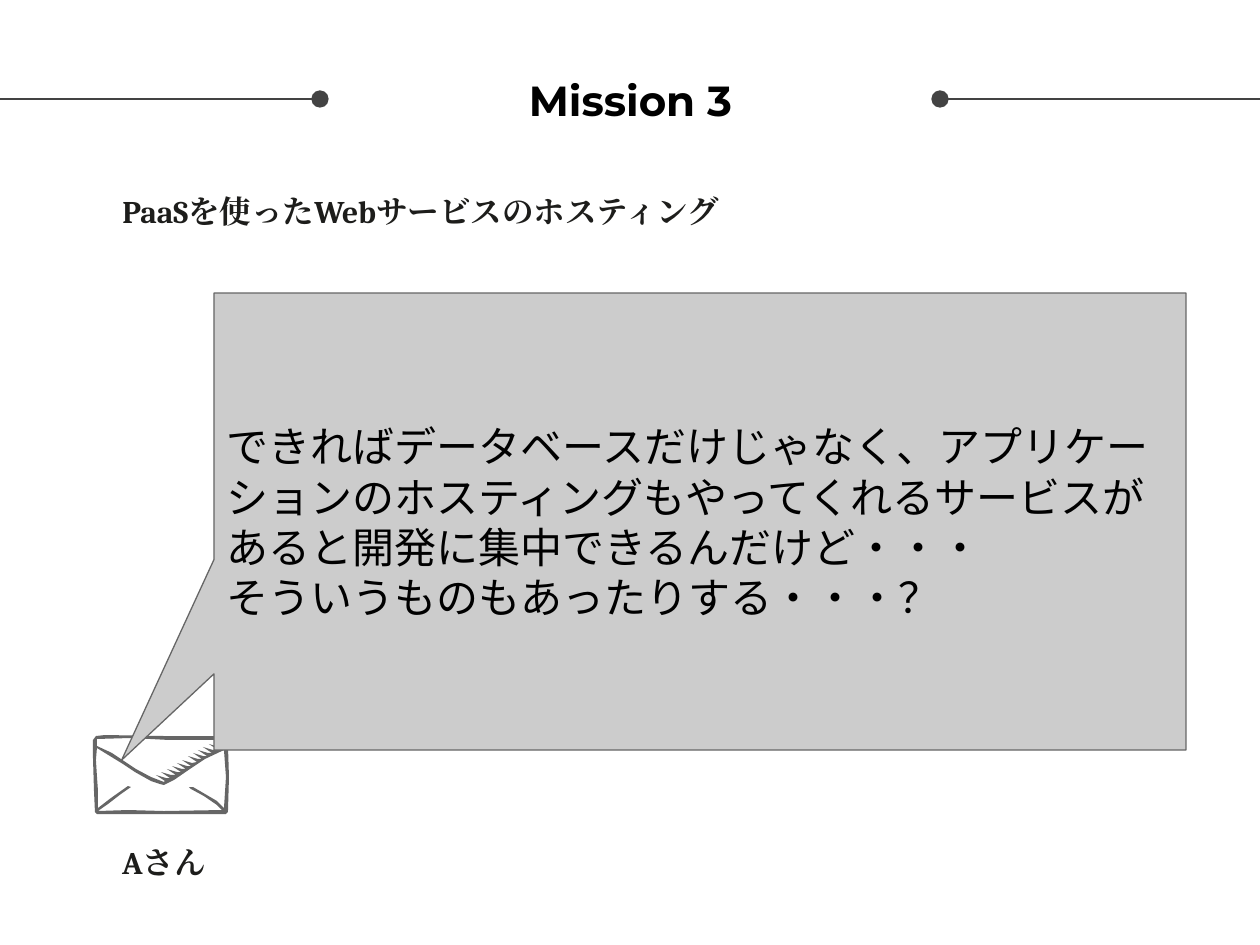
from lxml.etree import SubElement
from pptx import Presentation
from pptx.dml.color import RGBColor
from pptx.enum.shapes import MSO_CONNECTOR, MSO_SHAPE
from pptx.enum.text import MSO_ANCHOR, PP_ALIGN
from pptx.oxml.ns import qn
from pptx.util import Pt

PX = 914400 / 126
W, H = 1260, 945
INSET = 12.6

COLORS = {"rule": "434343", "title": "000000", "text": "1D1D1B",
          "ink": "666666", "bubble": "CCCCCC"}

# Content: text, box in px, font, size, colour, bold, alignment, anchor, space before
LABELS = [
    ("Mission 3", (321, 21, 619, 158), "Montserrat", 24, "title", PP_ALIGN.CENTER, MSO_ANCHOR.MIDDLE),
    ("PaaSを使ったWebサービスのホスティング", (110, 179, 1041, 97), "Cambria", 18, "text",
     PP_ALIGN.LEFT, MSO_ANCHOR.TOP),
    ("Aさん", (96, 830, 136, 97), "Cambria", 18, "text", PP_ALIGN.CENTER, MSO_ANCHOR.TOP),
]
SPEECH = ("できればデータベースだけじゃなく、アプリケーションのホスティングもやってくれるサービスが"
          "あると開発に集中できるんだけど・・・\vそういうものもあったりする・・・？")
BUBBLE = (214, 293, 972, 457)
RULE_Y = 99
RULES = [(320, -4), (940, 1261)]

# Envelope contours: rim, upper opening with hatching, lower opening
TEETH = 12
FIRST_TIP, LAST_TIP = (214, 741), (156, 775)


def hatching():
    points = []
    for i in range(TEETH):
        x, y = (round(a + (b - a) * i / (TEETH - 1)) for a, b in zip(FIRST_TIP, LAST_TIP))
        points += [(x + 10, y + 3), (x, y), (x + 9, y + 6)]
    return points


RIM = [(96, 736), (105, 735), (164, 736), (227, 736), (229, 737), (228, 745), (229, 777),
       (228, 812), (226, 814), (166, 814), (131, 814), (97, 814), (95, 812), (94, 790),
       (93, 757), (93, 740)]
UPPER = [(97, 739), (131, 738), (169, 740), (224, 740), *hatching(), (164, 782),
         (151, 777), (136, 769), (112, 753), (97, 746)]
LOWER = [(97, 748), (110, 756), (123, 764), (135, 772), (151, 781), (160, 784), (164, 785),
         (174, 780), (190, 769), (205, 759), (224, 750), (226, 777), (224, 808), (217, 801),
         (200, 791), (193, 787), (189, 787), (191, 789), (204, 796), (217, 805), (222, 810),
         (164, 811), (128, 810), (98, 811), (108, 804), (121, 794), (131, 787), (128, 786),
         (111, 798), (98, 808), (98, 790), (97, 776), (96, 760)]


def px(*values):
    return [round(v * PX) for v in values]


def color(name):
    return RGBColor.from_string(COLORS[name])


def write(sp, text, font, size, ink, bold=False, align=PP_ALIGN.LEFT, anchor=MSO_ANCHOR.MIDDLE):
    tf = sp.text_frame
    tf.word_wrap = True
    tf.vertical_anchor = anchor
    tf.margin_left = tf.margin_right = tf.margin_top = tf.margin_bottom = px(INSET)[0]
    tf.text = text
    p = tf.paragraphs[0]
    p.alignment = align
    for r in p.runs:
        r.font.size = Pt(size)
        r.font.bold = bold
        r.font.color.rgb = color(ink)
        r.font.name = font
        SubElement(r.font._element, qn("a:ea"), typeface=font)


prs = Presentation()
prs.slide_width, prs.slide_height = px(W, H)
slide = prs.slides.add_slide(prs.slide_layouts[6])
shapes = slide.shapes

# Rules with a dot at the inner end
for x1, x2 in RULES:
    line = shapes.add_connector(MSO_CONNECTOR.STRAIGHT, *px(x1, RULE_Y, x2, RULE_Y))
    line.line.color.rgb = color("rule")
    line.line.width = Pt(0.75)
    SubElement(line.line._get_or_add_ln(), qn("a:headEnd"), type="oval", w="lg", len="lg")
    SubElement(line._element.spPr, qn("a:effectLst"))

# Envelope
builder = shapes.build_freeform(*RIM[0], scale=PX)
builder.add_line_segments(RIM[1:])
for opening in (UPPER, LOWER):
    builder.move_to(*opening[0])
    builder.add_line_segments(opening[1:])
envelope = builder.convert_to_shape()
envelope.shadow.inherit = False
envelope.fill.solid()
envelope.fill.fore_color.rgb = color("ink")
envelope.line.fill.background()

# Speech bubble
bubble = shapes.add_shape(MSO_SHAPE.ROUNDED_RECTANGULAR_CALLOUT, *px(*BUBBLE))
for i, value in enumerate((-0.595, 0.522, 0)):
    bubble.adjustments[i] = value
bubble.shadow.inherit = False
bubble.fill.solid()
bubble.fill.fore_color.rgb = color("bubble")
bubble.line.color.rgb = color("ink")
bubble.line.width = Pt(0.75)
write(bubble, SPEECH, "Arial", 24, "title")

# Title, subtitle and sender
for text, box, font, size, ink, align, anchor in LABELS:
    write(shapes.add_textbox(*px(*box)), text, font, size, ink, True, align, anchor)

prs.save("out.pptx")
